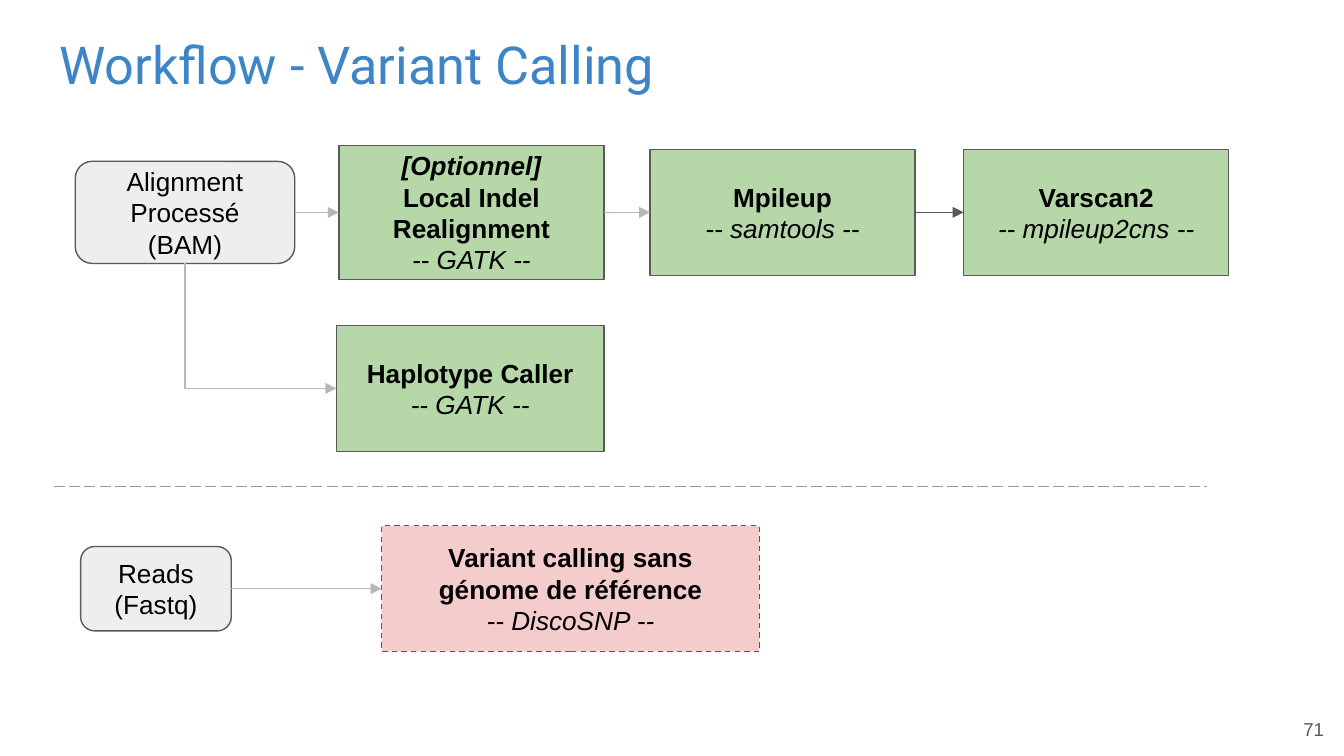
from lxml import etree
from pptx import Presentation
from pptx.dml.color import RGBColor
from pptx.enum.dml import MSO_LINE_DASH_STYLE as Dash
from pptx.enum.shapes import MSO_CONNECTOR as Link, MSO_SHAPE as Shape
from pptx.enum.text import MSO_ANCHOR as Anchor, MSO_AUTO_SIZE as AutoSize, PP_ALIGN as Align
from pptx.oxml.ns import qn
from pptx.util import Pt

COLORS = {
    "title": "3D85C6", "text": "000000", "number": "595959", "outline": "595959",
    "input": "EEEEEE", "tool": "B6D7A8", "reference_free": "F4CCCC",
    "light": "B7B7B7", "dark": "595959", "divider": "999999",
}
TITLE = "Workflow - Variant Calling"
PAGE_NUMBER = "71"
ROW_CENTERS = {"mapping": 113.8, "haplotype": 208.1, "reads": 315.4}

# key: (row, kind, left, width, height, [(text, style)]); style: b bold, i italic
STEPS = {
    "alignment": ("mapping", "input", 40.3, 117.6, 54.7, [("Alignment Processé (BAM)", "")]),
    "realignment": ("mapping", "tool", 181.6, 142, 72,
                    [("[Optionnel]", "bi"), ("Local Indel Realignment", "b"), ("-- GATK --", "i")]),
    "mpileup": ("mapping", "tool", 348.3, 142, 67.5, [("Mpileup", "b"), ("-- samtools --", "i")]),
    "varscan": ("mapping", "tool", 516.3, 142, 67.5, [("Varscan2", "b"), ("-- mpileup2cns --", "i")]),
    "haplotype": ("haplotype", "tool", 180.2, 143.5, 67.5,
                  [("Haplotype Caller", "b"), ("-- GATK --", "i")]),
    "reads": ("reads", "input", 43.2, 80.7, 45.2, [("Reads (Fastq)", "")]),
    "discosnp": ("reads", "reference_free", 204.5, 202.4, 67.5,
                 [("Variant calling sans génome de référence", "b"), ("-- DiscoSNP --", "i")]),
}
ARROWS = [
    ("alignment", "realignment", "light"),
    ("realignment", "mpileup", "light"),
    ("mpileup", "varscan", "dark"),
    ("reads", "discosnp", "light"),
]
BOTTOM, LEFT, RIGHT = 2, 1, 3


def color(name):
    return RGBColor.from_string(COLORS[name])


def set_frame(frame, anchor):
    frame.word_wrap = True
    frame.auto_size = AutoSize.NONE
    frame.vertical_anchor = anchor
    frame.margin_left = frame.margin_right = frame.margin_top = frame.margin_bottom = Pt(7.2)


def add_text(paragraph, text, size, color_name, align, font="Arial", style=""):
    paragraph.alignment = align
    run = paragraph.add_run()
    run.text = text
    run.font.name, run.font.size = font, Pt(size)
    run.font.bold, run.font.italic = "b" in style, "i" in style
    run.font.color.rgb = color(color_name)


def add_step(slide, row, kind, left, width, height, lines):
    outline = Shape.ROUNDED_RECTANGLE if kind == "input" else Shape.RECTANGLE
    top = ROW_CENTERS[row] - height / 2
    box = slide.shapes.add_shape(outline, Pt(left), Pt(top), Pt(width), Pt(height))
    box.shadow.inherit = False
    box.fill.solid()
    box.fill.fore_color.rgb = color(kind)
    box.line.color.rgb = color("outline")
    box.line.width = Pt(0.75)
    if kind == "reference_free":
        box.line.dash_style = Dash.DASH
    set_frame(box.text_frame, Anchor.MIDDLE)
    for index, (text, style) in enumerate(lines):
        paragraph = box.text_frame.add_paragraph() if index else box.text_frame.paragraphs[0]
        add_text(paragraph, text, 14, "text", Align.CENTER, style=style)
    return box


def add_line(slide, color_name, kind=Link.STRAIGHT, ends=(0, 0, 0, 0)):
    line = slide.shapes.add_connector(kind, *(Pt(value) for value in ends))
    line.line.color.rgb = color(color_name)
    line.line.width = Pt(0.75)
    etree.SubElement(line._element.spPr, qn("a:effectLst"))
    return line


def add_arrow(slide, source, source_side, target, color_name, kind=Link.STRAIGHT):
    arrow = add_line(slide, color_name, kind)
    arrow.begin_connect(source, source_side)
    arrow.end_connect(target, LEFT)
    etree.SubElement(arrow.line._get_or_add_ln(), qn("a:tailEnd"), type="triangle")
    return arrow


def make_down_then_right(arrow):
    """Give an elbow a single corner: a quarter turn and a flip about its own centre."""
    left, top, width, height = arrow.left, arrow.top, arrow.width, arrow.height
    properties = arrow._element.spPr
    properties.find(qn("a:prstGeom")).set("prst", "bentConnector2")
    frame = properties.find(qn("a:xfrm"))
    frame.set("rot", str(270 * 60000))
    frame.set("flipH", "1")
    arrow.left, arrow.top = left + (width - height) // 2, top + (height - width) // 2
    arrow.width, arrow.height = height, width


def main():
    deck = Presentation()
    deck.slide_width, deck.slide_height = Pt(720), Pt(405)
    slide = deck.slides.add_slide(deck.slide_layouts[5])

    title = slide.shapes.title
    title.left, title.top, title.width, title.height = Pt(24.5), Pt(10), Pt(671), Pt(45.4)
    set_frame(title.text_frame, Anchor.TOP)
    add_text(title.text_frame.paragraphs[0], TITLE, 28, "title", Align.LEFT, "Roboto")

    boxes = {key: add_step(slide, *step) for key, step in STEPS.items()}
    for source, target, shade in ARROWS:
        add_arrow(slide, boxes[source], RIGHT, boxes[target], shade)
    make_down_then_right(
        add_arrow(slide, boxes["alignment"], BOTTOM, boxes["haplotype"], "light", Link.ELBOW))

    divider = add_line(slide, "divider", ends=(29, 260.6, 646.6, 260.6))
    divider.line.dash_style = Dash.LONG_DASH

    number = slide.shapes.add_textbox(Pt(673.2), Pt(373), Pt(43.2), Pt(31))
    set_frame(number.text_frame, Anchor.BOTTOM)
    add_text(number.text_frame.paragraphs[0], PAGE_NUMBER, 10, "number", Align.RIGHT)

    deck.save("out.pptx")


if __name__ == "__main__":
    main()
